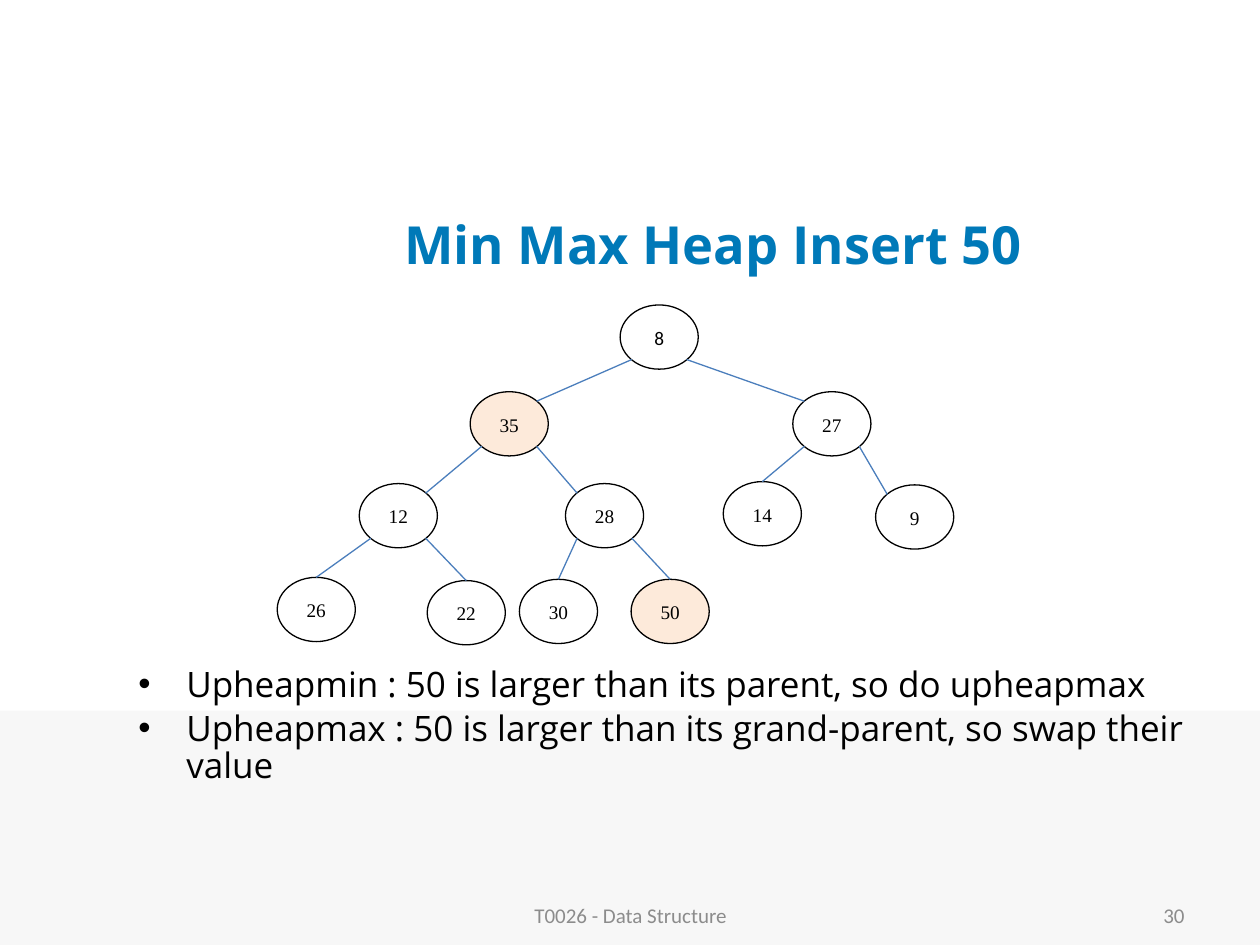
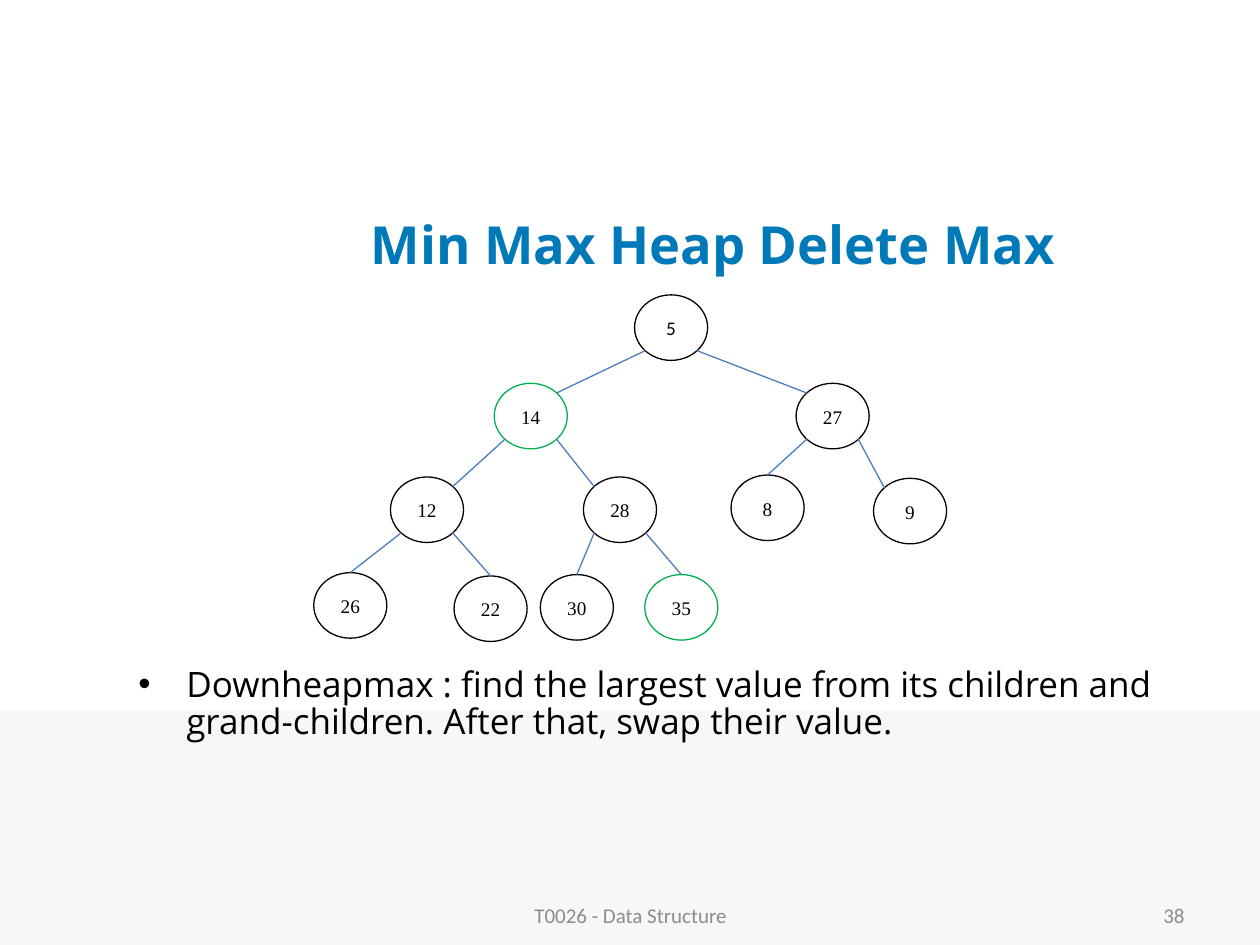
from pptx import Presentation, util as u
from pptx.dml.color import RGBColor
from pptx.enum import shapes, text
from pptx.oxml.ns import qn
from lxml import etree

# Content: each heap is listed level by level, so node i hangs from (i - 1) // 2
SLIDES = [
    {"title": "Min Max Heap Insert 50", "page": "30",
     "heap": [8, 35, 27, 12, 28, 14, 9, 26, 22, 30, 50],
     "start": (2.2, 2.42), "node": (0.62, 0.51),
     "marked": {35, 50}, "mark": {"fill": "FDEADA"},
     "notes": ["Upheapmin : 50 is larger than its parent, so do upheapmax",
               "Upheapmax : 50 is larger than its grand-parent, so swap their value"]},
    {"title": "Min Max Heap Delete Max", "page": "38",
     "heap": [5, 14, 27, 12, 28, 8, 9, 26, 22, 30, 35],
     "start": (2.49, 2.34), "node": (0.58, 0.52),
     "marked": {14, 35}, "mark": {"edge": "00B050"},
     "notes": ["Downheapmax : find the largest value from its children and "
               "grand-children. After that, swap their value."]},
]
FOOTER = "T0026 - Data Structure"

# Tree grid: left and top of each node, counted in node widths and heights
GRID = [(4.39, 0),
        (2.47, 1.35), (6.6, 1.35),
        (1.05, 2.78), (3.69, 2.78), (5.71, 2.75), (7.66, 2.8),
        (0, 4.24), (1.92, 4.29), (3.1, 4.27), (4.53, 4.27)]
TOP_JOIN = {5, 7, 8, 9, 10}  # nodes whose edge arrives at the top
NEAR, FAR = 0.15, 0.85       # diagonal points of an ellipse, as shares of its box

# Shared look
WIDE, HIGH = 10, 7.5
BAND_TOP = 5.64
MID = text.MSO_ANCHOR.MIDDLE
LEFT, CENTER, RIGHT = text.PP_ALIGN.LEFT, text.PP_ALIGN.CENTER, text.PP_ALIGN.RIGHT
TITLE = {"name": "Open Sans", "size": u.Pt(30), "bold": True, "color": "0079B8"}
BODY = {"name": "Open Sans", "size": u.Pt(20), "color": "000000"}
FOOT = {"name": "Calibri", "size": u.Pt(12), "color": "8C8C8C"}
LEAF = {"name": "Times New Roman", "size": u.Pt(11), "color": "000000"}
ROOT = {**LEAF, "name": "Calibri"}


def rgb(code):
    return RGBColor.from_string(code)


def box(*nums):
    return [u.Inches(n) for n in nums]


def write(shape, lines, look, align, anchor=MID, bullet=False, **para):
    """Fill a shape with formatted paragraphs."""
    frame = shape.text_frame
    frame.word_wrap, frame.vertical_anchor = True, anchor
    for i, line in enumerate(lines):
        p = frame.paragraphs[0] if i == 0 else frame.add_paragraph()
        p.alignment = align
        for key, val in para.items():
            setattr(p, key, val)
        if bullet:
            p.space_before = u.Pt(4 if i else 0)
            ppr = p._p.get_or_add_pPr()
            ppr.set("marL", str(u.Inches(0.38)))
            ppr.set("indent", str(-u.Inches(0.38)))
            etree.SubElement(ppr, qn("a:buFont")).set("typeface", "Arial")
            etree.SubElement(ppr, qn("a:buChar")).set("char", "•")
        run = p.add_run()
        run.text = line
        for key, val in look.items():
            if key == "color":
                run.font.color.rgb = rgb(val)
            else:
                setattr(run.font, key, val)


def paint(shape, fill=None, edge=None):
    shape.shadow.inherit = False
    if fill:
        shape.fill.solid()
        shape.fill.fore_color.rgb = rgb(fill)
    else:
        shape.fill.background()
    if edge:
        shape.line.color.rgb = rgb(edge)
        shape.line.width = u.Pt(0)
    else:
        shape.line.fill.background()


def frame(deck, data):
    """Add a slide with band, title, footer and page number."""
    slide = deck.slides.add_slide(deck.slide_layouts[5])
    band = slide.shapes.add_shape(shapes.MSO_SHAPE.RECTANGLE,
                                  *box(0, BAND_TOP, WIDE, HIGH - BAND_TOP))
    paint(band, fill="F7F7F7")
    title = slide.shapes.title
    title.left, title.top, title.width, title.height = box(1.92, 1.5, 7.48, 0.87)
    write(title, [data["title"]], TITLE, CENTER)
    for line, left, width, align in [(FOOTER, 3.42, 3.17, CENTER),
                                     (data["page"], 7.17, 2.33, RIGHT)]:
        foot = slide.shapes.add_textbox(*box(left, 7.06, width, 0.4))
        write(foot, [line], FOOT, align)
    return slide


def tree(slide, data):
    """Draw the heap: nodes on the grid, then an edge to each parent."""
    (x, y), (w, h) = data["start"], data["node"]
    spots = [(x + col * w, y + row * h) for col, row in GRID]
    nodes = []
    for i, (key, spot) in enumerate(zip(data["heap"], spots)):
        node = slide.shapes.add_shape(shapes.MSO_SHAPE.OVAL, *box(*spot, w, h))
        look = {"edge": "000000"}
        if key in data["marked"]:
            look.update(data["mark"])
        paint(node, **look)
        write(node, [str(key)], LEAF if i else ROOT, CENTER,
              line_spacing=1.05, space_after=u.Pt(8))
        nodes.append(node)

    for i in range(1, len(nodes)):
        px, py = spots[(i - 1) // 2]
        cx, cy = spots[i]
        out, back = (NEAR, FAR) if i % 2 else (FAR, NEAR)
        edge = slide.shapes.add_connector(
            shapes.MSO_CONNECTOR.STRAIGHT,
            *box(px + out * w, py + FAR * h, cx + back * w, cy + NEAR * h))
        if i in TOP_JOIN:
            edge.end_connect(nodes[i], 0)
        edge.line.color.rgb = rgb("4B7EBC")
        edge.line.width = u.Pt(0.75)
        etree.SubElement(edge._element.spPr, qn("a:effectLst"))


def main():
    deck = Presentation()
    deck.slide_width, deck.slide_height = box(WIDE, HIGH)
    for data in SLIDES:
        slide = frame(deck, data)
        tree(slide, data)
        notes = slide.shapes.add_textbox(*box(1, 5.25, 8.58, 1.32))
        write(notes, data["notes"], BODY, LEFT, text.MSO_ANCHOR.TOP,
              bullet=True, line_spacing=0.88)
    deck.save("out.pptx")


if __name__ == "__main__":
    main()
